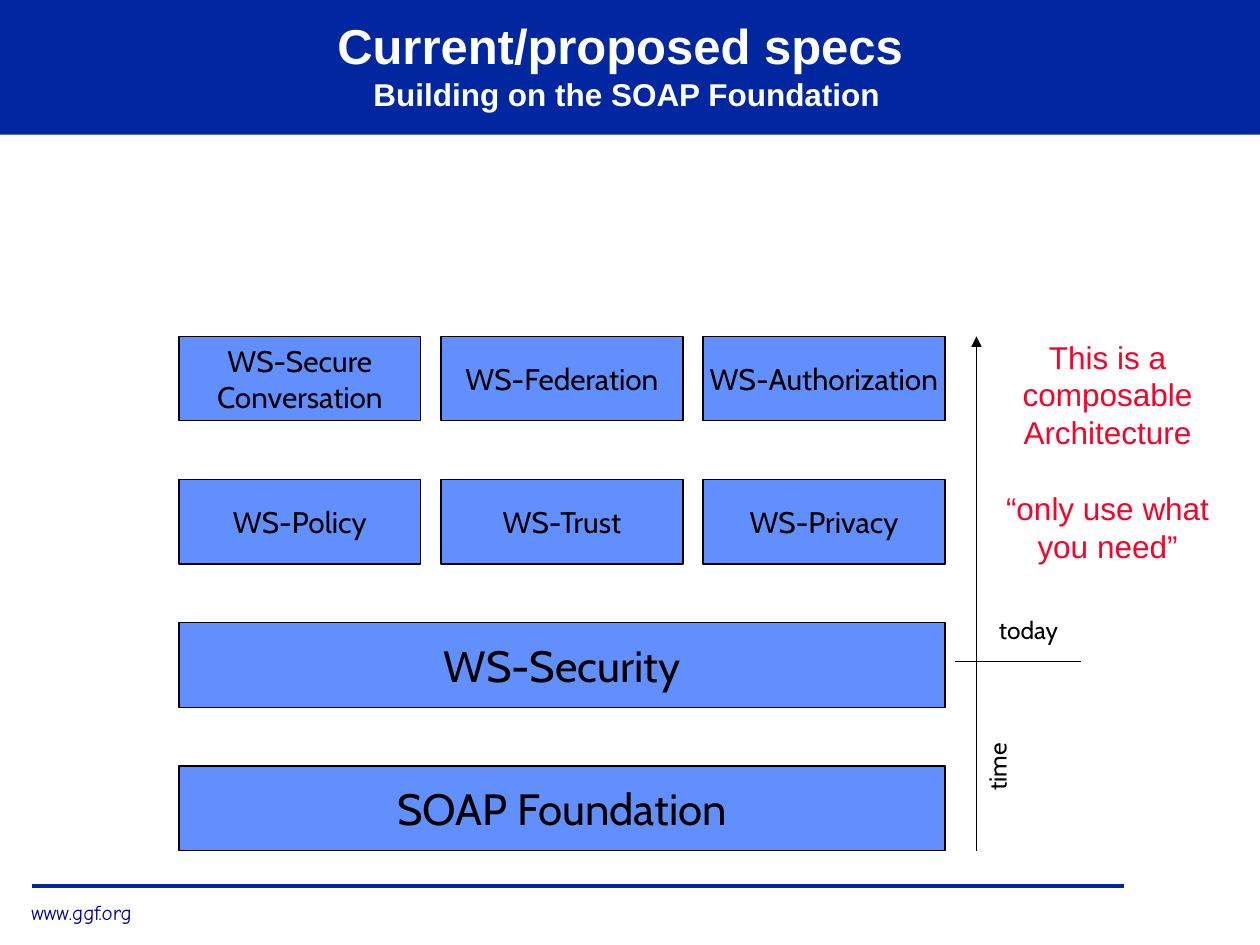
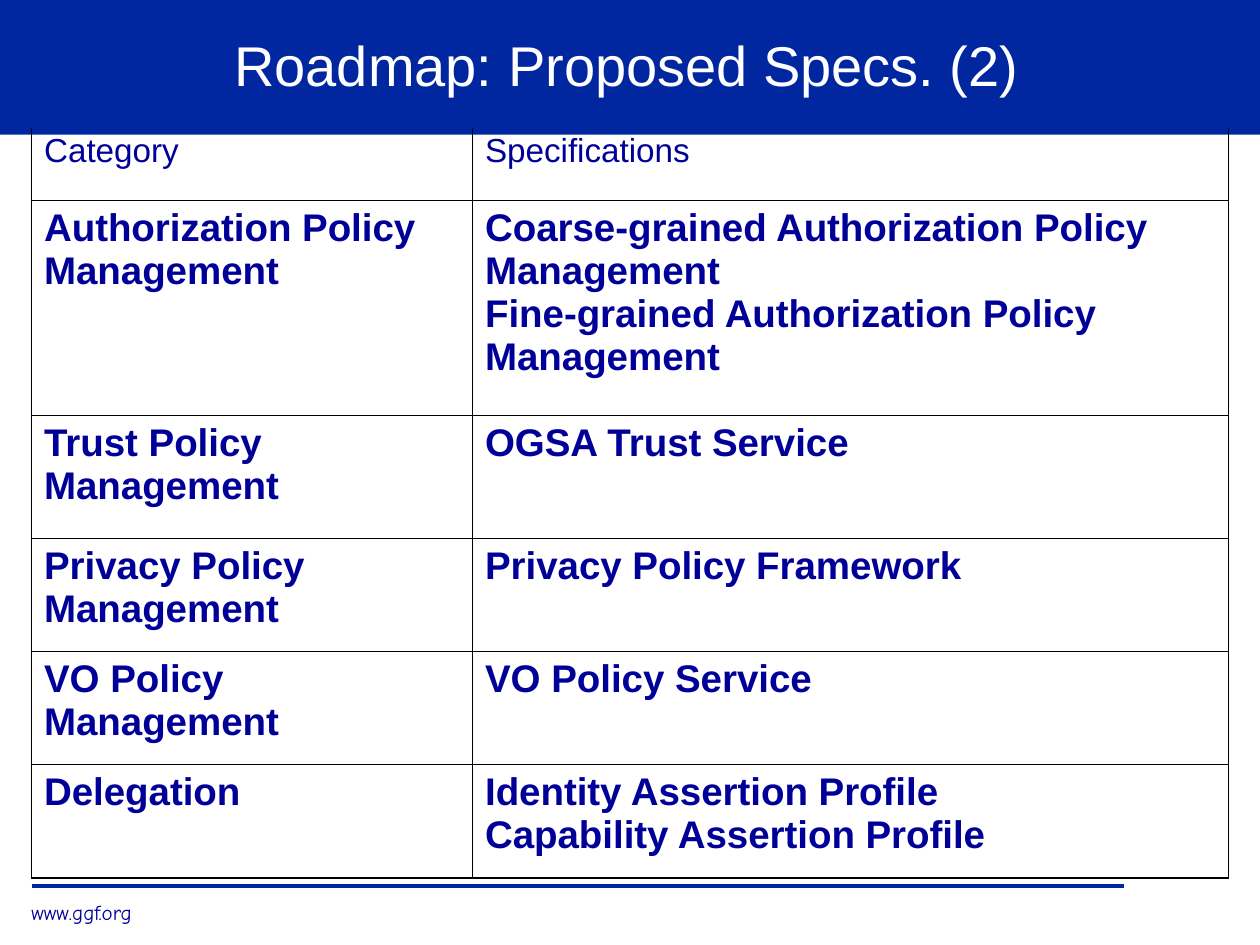
"""Build two slides on web service security specifications."""
import dataclasses

import lxml.etree
import pptx
import pptx.dml.color
import pptx.enum.shapes
import pptx.enum.text
import pptx.oxml.ns
import pptx.util

Inches = pptx.util.Inches
Pt = pptx.util.Pt
qn = pptx.oxml.ns.qn
ALIGN = pptx.enum.text.PP_ALIGN
ANCHOR = pptx.enum.text.MSO_ANCHOR


@dataclasses.dataclass(frozen=True)
class Theme:
    """Colours, fonts and type sizes of the deck."""
    band: str = "00279F"
    ink: str = "000099"
    tile: str = "618FFD"
    note: str = "FC0128"
    black: str = "000000"
    white: str = "FFFFFF"
    sans: str = "Arial"
    label: str = "Cabin"
    hand: str = "Comic Neue"
    title: int = 32
    head: int = 28
    sub: int = 18
    wide: int = 25
    small: int = 17
    axis: int = 14
    foot: int = 12
    top: int = 19
    cell: int = 22
    thin: float = 0.45
    edge: float = 1.08
    rule: float = 0.75
    bar: float = 2


T = Theme()
TITLE_BOX = (0, 0, 9.95, 1.02)
STACK_BOX = (1.42, 2.67, 6.08, 4.08)
AXIS_BOX = (7.58, 2.67, 1.75, 4.08)
NOTE_BOX = (7.83, 2.63, 1.92, 2.2)
TABLE_BOX = (0.25, 1, 9.5, 5.97)

STACK = [
    [("WS-Secure", "Conversation"), ("WS-Federation",), ("WS-Authorization",)],
    [("WS-Policy",), ("WS-Trust",), ("WS-Privacy",)],
    [("WS-Security",)],
    [("SOAP Foundation",)],
]
COLS = [3.5, 6]
ROWS = [
    (0.59, "Category", ["Specifications"]),
    (1.71, "Authorization Policy Management",
     ["Coarse-grained Authorization Policy Management",
      "Fine-grained Authorization Policy Management"]),
    (0.97, "Trust Policy Management", ["OGSA Trust Service"]),
    (0.9, "Privacy Policy Management", ["Privacy Policy Framework"]),
    (0.9, "VO Policy Management", ["VO Policy Service"]),
    (0.9, "Delegation",
     ["Identity Assertion Profile", "Capability Assertion Profile"]),
]


def rgb(hue):
    """Turn a hex string into a colour."""
    return pptx.dml.color.RGBColor.from_string(hue)


def add_run(para, text, size, face, hue, bold=False):
    """Append one styled run to a paragraph."""
    run = para.add_run()
    run.text = text
    font = run.font
    font.size, font.name, font.bold = Pt(size), face, bold
    font.color.rgb = rgb(hue)


def add_lines(frame, lines, size, face, hue, align=ALIGN.CENTER, gap=0):
    """Write one paragraph for each line, with a gap between them."""
    for i, line in enumerate(lines):
        para = frame.add_paragraph() if i else frame.paragraphs[0]
        para.alignment = align
        if i:
            para.space_before = Pt(gap)
        add_run(para, line, size, face, hue)


def add_text(slide, box, wrap=True):
    """Add a text box and return its frame."""
    frame = slide.shapes.add_textbox(*map(Inches, box)).text_frame
    frame.word_wrap = wrap
    return frame


def add_rect(slide, box, fill, line=None):
    """Add a flat rectangle and return its text frame."""
    kind = pptx.enum.shapes.MSO_SHAPE.RECTANGLE
    shape = slide.shapes.add_shape(kind, *map(Inches, box))
    shape.shadow.inherit = False
    shape.fill.solid()
    shape.fill.fore_color.rgb = rgb(fill)
    if line:
        shape.line.color.rgb = rgb(line)
        shape.line.width = Pt(T.rule)
    else:
        shape.line.fill.background()
    shape.text_frame.vertical_anchor = ANCHOR.MIDDLE
    return shape.text_frame


def add_line(slide, ends, hue, width, arrow=False):
    """Draw a straight line, with an arrowhead at its end if asked."""
    kind = pptx.enum.shapes.MSO_CONNECTOR.STRAIGHT
    line = slide.shapes.add_connector(kind, *map(Inches, ends))
    line.line.color.rgb = rgb(hue)
    line.line.width = Pt(width)
    props = line._element.spPr
    if arrow:
        stroke = props.find(qn("a:ln"))
        lxml.etree.SubElement(stroke, qn("a:tailEnd"), type="triangle")
    lxml.etree.SubElement(props, qn("a:effectLst"))


def add_page(deck):
    """Add a blank slide with the band, rule and web address."""
    slide = deck.slides.add_slide(deck.slide_layouts[6])
    add_rect(slide, (0, 0, 10, 1.07), T.band)
    add_line(slide, (0.25, 7.03, 8.92, 7.03), T.band, T.bar)
    frame = add_text(slide, (0.15, 7.09, 1.01, 0.3), wrap=False)
    add_lines(frame, ["www.ggf.org"], T.foot, T.hand, T.ink, ALIGN.LEFT)
    return slide


def add_title(slide, box, runs):
    """Write the title, one line for each (text, size, bold) run."""
    frame = add_rect(slide, box, T.band)
    frame.word_wrap = True
    para = frame.paragraphs[0]
    para.alignment = ALIGN.CENTER
    for i, (text, size, bold) in enumerate(runs):
        if i:
            para.add_line_break()
        add_run(para, text, size, T.sans, T.white, bold)


def add_stack(slide, box, rows):
    """Stack rows of tiles that each fill the width of the box."""
    left, top, width, height = box
    tall, gap = 0.67, 0.16
    step = (height - tall) / (len(rows) - 1)
    for i, row in enumerate(rows):
        wide = (width - gap * (len(row) - 1)) / len(row)
        size = T.wide if len(row) == 1 else T.small
        for j, lines in enumerate(row):
            spot = (left + j * (wide + gap), top + i * step, wide, tall)
            frame = add_rect(slide, spot, T.tile, T.black)
            frame.word_wrap = False
            add_lines(frame, lines, size, T.label, T.black)


def add_axis(slide, box):
    """Draw the time arrow with its mark for today."""
    left, top, _, height = box
    stem, mark = left + 0.17, top + 2.58
    add_line(slide, (stem, top + height, stem, top), T.black, T.rule, True)
    add_line(slide, (left, mark, left + 1, mark), T.black, T.rule)
    labels = [("time", (left - 0.06, top + 3.14, 0.79, 0.34), 270),
              ("today", (left + 0.25, top + 2.16, 1.5, 0.34), 0)]
    for text, spot, turn in labels:
        shape = slide.shapes.add_textbox(*map(Inches, spot))
        shape.rotation = turn
        shape.text_frame.word_wrap = True
        add_lines(shape.text_frame, [text], T.axis, T.label, T.black,
                  ALIGN.LEFT)


def add_note(slide, box):
    """Write the red remark."""
    lines = ["This is a composable Architecture", "“only use what you need”"]
    add_lines(add_text(slide, box), lines, T.sub, T.sans, T.note, gap=21.6)


def set_edges(cell, sides):
    """Draw the borders of a cell from a map of side to width."""
    props = cell._tc.get_or_add_tcPr()
    for i, (side, width) in enumerate(sides.items()):
        line = lxml.etree.Element(qn("a:ln" + side), w=str(Pt(width)))
        fill = lxml.etree.SubElement(line, qn("a:solidFill"))
        lxml.etree.SubElement(fill, qn("a:srgbClr"), val=T.black)
        props.insert(i, line)


def add_table(slide, box, rows):
    """Add the two-column table of categories and specifications."""
    spot = map(Inches, box)
    table = slide.shapes.add_table(len(rows), len(COLS), *spot).table
    table.first_row = table.horz_banding = False
    for col, wide in zip(table.columns, COLS):
        col.width = Inches(wide)
    last = len(rows) - 1
    for i, (tall, name, specs) in enumerate(rows):
        table.rows[i].height = Inches(tall)
        size = T.cell if i else T.top
        for j, lines in enumerate(([name], specs)):
            cell = table.cell(i, j)
            cell.fill.background()
            para = cell.text_frame.paragraphs[0]
            for k, line in enumerate(lines):
                if k:
                    para.add_line_break()
                add_run(para, line, size, T.sans, T.ink, i > 0)
            outer = {"L": j == 0, "R": j == 1, "T": i == 0, "B": i == last}
            set_edges(cell, {side: T.edge if out else T.thin
                             for side, out in outer.items()})


def add_specs(deck):
    """Build the slide of stacked specifications."""
    slide = add_page(deck)
    add_title(slide, TITLE_BOX,
              [("Current/proposed specs ", T.head, True),
               ("Building on the SOAP Foundation", T.sub, True)])
    add_note(slide, NOTE_BOX)
    add_stack(slide, STACK_BOX, STACK)
    add_axis(slide, AXIS_BOX)


def add_roadmap(deck):
    """Build the slide with the roadmap table."""
    slide = add_page(deck)
    add_table(slide, TABLE_BOX, ROWS)
    add_title(slide, TITLE_BOX,
              [("Roadmap: Proposed Specs. (2)", T.title, False)])


def main():
    """Build and save the deck."""
    deck = pptx.Presentation()
    deck.slide_width, deck.slide_height = Inches(10), Inches(7.5)
    add_specs(deck)
    add_roadmap(deck)
    deck.save("out.pptx")


if __name__ == "__main__":
    main()
